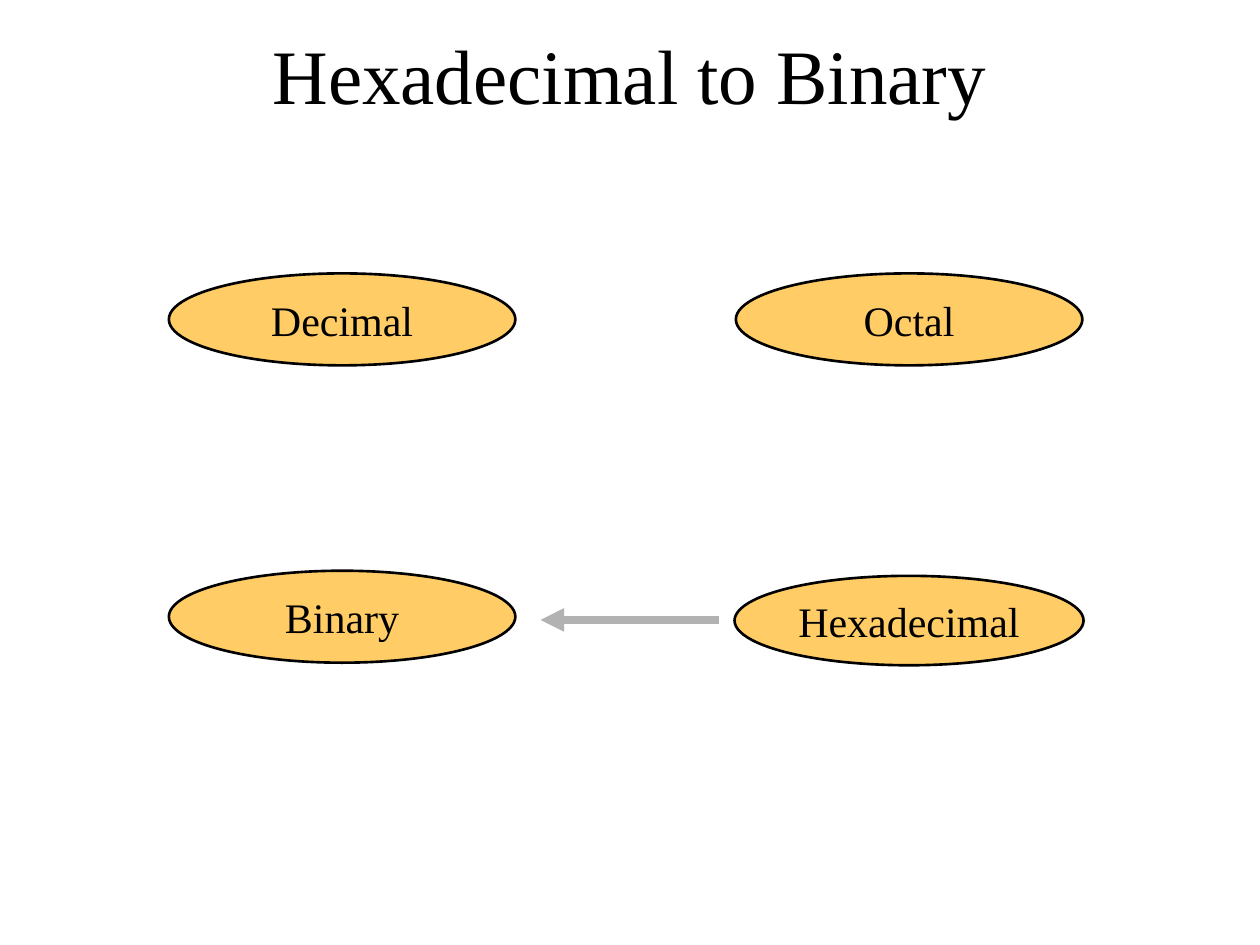
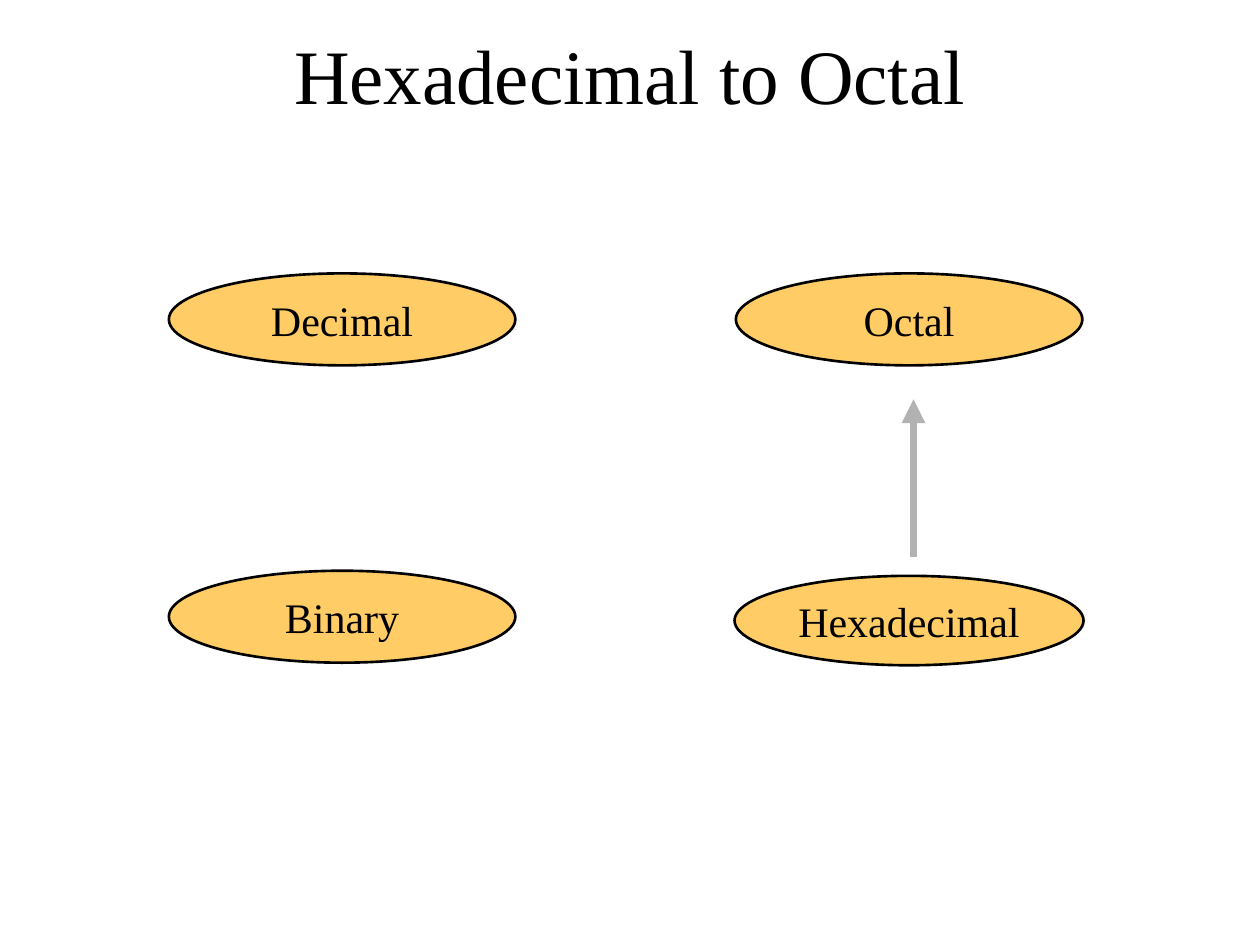
from lxml import etree
from pptx import Presentation
from pptx.dml.color import RGBColor
from pptx.enum.shapes import MSO_CONNECTOR, MSO_SHAPE
from pptx.enum.text import MSO_ANCHOR, PP_ALIGN
from pptx.oxml.ns import qn
from pptx.util import Pt

PX = 9144
ELLIPSE = MSO_SHAPE.OVAL
STRAIGHT = MSO_CONNECTOR.STRAIGHT
MIDDLE = MSO_ANCHOR.MIDDLE
CENTER = PP_ALIGN.CENTER

COLORS = {"paper": "FFFFFF", "ink": "000000", "node": "FFCC66", "arrow": "B2B2B2"}
FONT = "Times New Roman"

NODES = [
    ("Hexadecimal", (583, 457, 277, 71)),
    ("Decimal", (134, 217, 275, 73)),
    ("Octal", (584, 217, 275, 73)),
    ("Binary", (134, 453, 275, 73)),
]
CONVERSIONS = [
    ("Hexadecimal to Binary", (571, 492), (429, 492)),
    ("Hexadecimal to Octal", (725, 442), (725, 317)),
]


class SlideBuilder:
    def __init__(self, deck):
        self.deck = deck
        self.page = None

    def color(self, name):
        return RGBColor.from_string(COLORS[name])

    def lengths(self, *values):
        return [value * PX for value in values]

    def new_page(self):
        self.page = self.deck.slides.add_slide(self.deck.slide_layouts[6])
        fill = self.page.background.fill
        fill.solid()
        fill.fore_color.rgb = self.color("paper")

    def label(self, box, text, size, wrap):
        frame = box.text_frame
        margins = dict(zip(
            ("margin_left", "margin_top", "margin_right", "margin_bottom"),
            self.lengths(10, 5, 10, 5)))
        for name, value in {"word_wrap": wrap, "vertical_anchor": MIDDLE, **margins}.items():
            setattr(frame, name, value)
        para = frame.paragraphs[0]
        para.alignment = CENTER
        span = para.add_run()
        span.text = text
        for name, value in {"name": FONT, "size": Pt(size)}.items():
            setattr(span.font, name, value)
        span.font.color.rgb = self.color("ink")

    def stroke(self, line, color, width):
        line.color.rgb = self.color(color)
        line.width = Pt(width)

    def title(self, text):
        box = self.page.shapes.add_textbox(*self.lengths(75, 17, 850, 83))
        self.label(box, text, 44, True)

    def node(self, text, bounds):
        shape = self.page.shapes.add_shape(ELLIPSE, *self.lengths(*bounds))
        shape.shadow.inherit = False
        shape.fill.solid()
        shape.fill.fore_color.rgb = self.color("node")
        self.stroke(shape.line, "ink", 1.5)
        self.label(shape, text, 24, False)

    def arrow(self, start, end):
        connector = self.page.shapes.add_connector(STRAIGHT, *self.lengths(*start, *end))
        self.stroke(connector.line, "arrow", 4.5)
        properties = connector.element.spPr
        outline = properties.find(qn("a:ln"))
        etree.SubElement(outline, qn("a:tailEnd"), type="triangle")
        etree.SubElement(properties, qn("a:effectLst"))


def main():
    deck = Presentation()
    deck.slide_width = 1000 * PX
    deck.slide_height = 750 * PX
    builder = SlideBuilder(deck)
    for title, start, end in CONVERSIONS:
        builder.new_page()
        builder.title(title)
        for text, bounds in NODES:
            builder.node(text, bounds)
        builder.arrow(start, end)
    deck.save("out.pptx")


if __name__ == "__main__":
    main()
